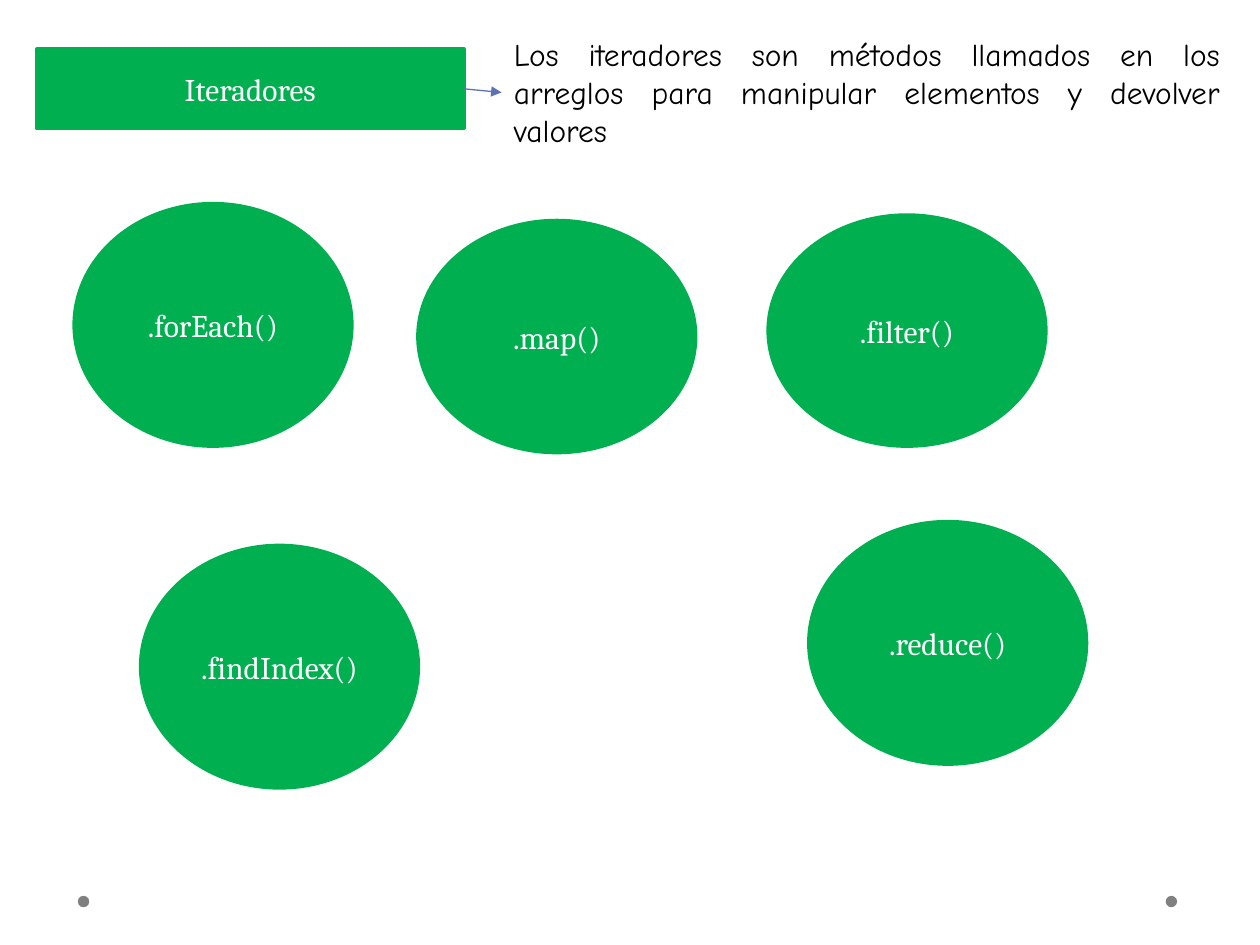
"""Build a slide on array iterators: a heading, its definition and five methods."""
from pptx import Presentation
from pptx.dml.color import RGBColor
from pptx.enum.shapes import MSO_CONNECTOR, MSO_SHAPE
from pptx.enum.text import MSO_ANCHOR, MSO_AUTO_SIZE, PP_ALIGN
from pptx.oxml.ns import qn
from pptx.util import Cm, Pt
from lxml import etree

OVAL = MSO_SHAPE.OVAL
STRAIGHT = MSO_CONNECTOR.STRAIGHT
TOP, MIDDLE = MSO_ANCHOR.TOP, MSO_ANCHOR.MIDDLE
CENTER, JUSTIFY = PP_ALIGN.CENTER, PP_ALIGN.JUSTIFY
NO_FIT = MSO_AUTO_SIZE.NONE

GREEN, GRAY, BLUE, WHITE, BLACK = "00B050", "808080", "5C72B2", "FFFFFF", "000000"

TITLE = "Iteradores"
TITLE_BOX = (0.74, 0.99, 8.61, 1.6)
DEFINITION = ("Los iteradores son métodos llamados en los arreglos "
              "para manipular elementos y devolver valores")
DEFINITION_BOX = (10.11, 0.58, 14.73, 2.57)
METHOD_WIDTH = 5.59
METHODS = [
    (".forEach()", 1.5, 4.11, 4.88),
    (".map()", 8.43, 4.45, 4.67),
    (".filter()", 15.49, 4.34, 4.65),
    (".findIndex()", 2.84, 11, 4.88),
    (".reduce()", 16.31, 10.52, 4.88),
]
DOT_SIZE, DOT_TOP, DOT_LEFTS = 0.23, 18.06, (23.5, 1.57)


def rgb(color):
    return RGBColor.from_string(color)


def cms(*lengths):
    return [Cm(n) for n in lengths]


def paint(sp, color, outlined=True):
    sp.fill.solid()
    sp.fill.fore_color.rgb = rgb(color)
    sp.shadow.inherit = False
    if outlined:
        sp.line.color.rgb = rgb(color)
        sp.line.width = Pt(2.25)
    else:
        sp.line.fill.background()


def write(sp, text, font="Cambria", color=WHITE, align=CENTER, anchor=MIDDLE, size=18):
    tf = sp.text_frame
    tf.word_wrap = True
    tf.auto_size = NO_FIT
    tf.vertical_anchor = anchor
    p = tf.paragraphs[0]
    p.alignment = align
    r = p.add_run()
    r.text = text
    r.font.name = font
    r.font.size = Pt(size)
    r.font.color.rgb = rgb(color)


def add_arrow(s, *ends):
    arrow = s.shapes.add_connector(STRAIGHT, *cms(*ends))
    arrow.line.color.rgb = rgb(BLUE)
    arrow.line.width = Pt(0.75)
    etree.SubElement(arrow.line._get_or_add_ln(), qn("a:tailEnd"), type="triangle")
    etree.SubElement(arrow._element.spPr, qn("a:effectLst"))


prs = Presentation()
prs.slide_width, prs.slide_height = cms(25.4, 19.05)
s = prs.slides.add_slide(prs.slide_layouts[5])

for left in DOT_LEFTS:
    dot = s.shapes.add_shape(OVAL, *cms(left, DOT_TOP, DOT_SIZE, DOT_SIZE))
    paint(dot, GRAY, outlined=False)

title = s.shapes.title
title.left, title.top, title.width, title.height = cms(*TITLE_BOX)
paint(title, GREEN)
write(title, TITLE)

definition = s.shapes.add_textbox(*cms(*DEFINITION_BOX))
write(definition, DEFINITION, font="Comic Neue", color=BLACK, align=JUSTIFY, anchor=TOP)

title_left, title_top, title_width, title_height = TITLE_BOX
definition_left, definition_top, _, definition_height = DEFINITION_BOX
add_arrow(s, title_left + title_width, title_top + title_height / 2,
          definition_left, definition_top + definition_height / 2)

for name, left, top, height in METHODS:
    method = s.shapes.add_shape(OVAL, *cms(left, top, METHOD_WIDTH, height))
    paint(method, GREEN)
    write(method, name)

prs.save("out.pptx")
